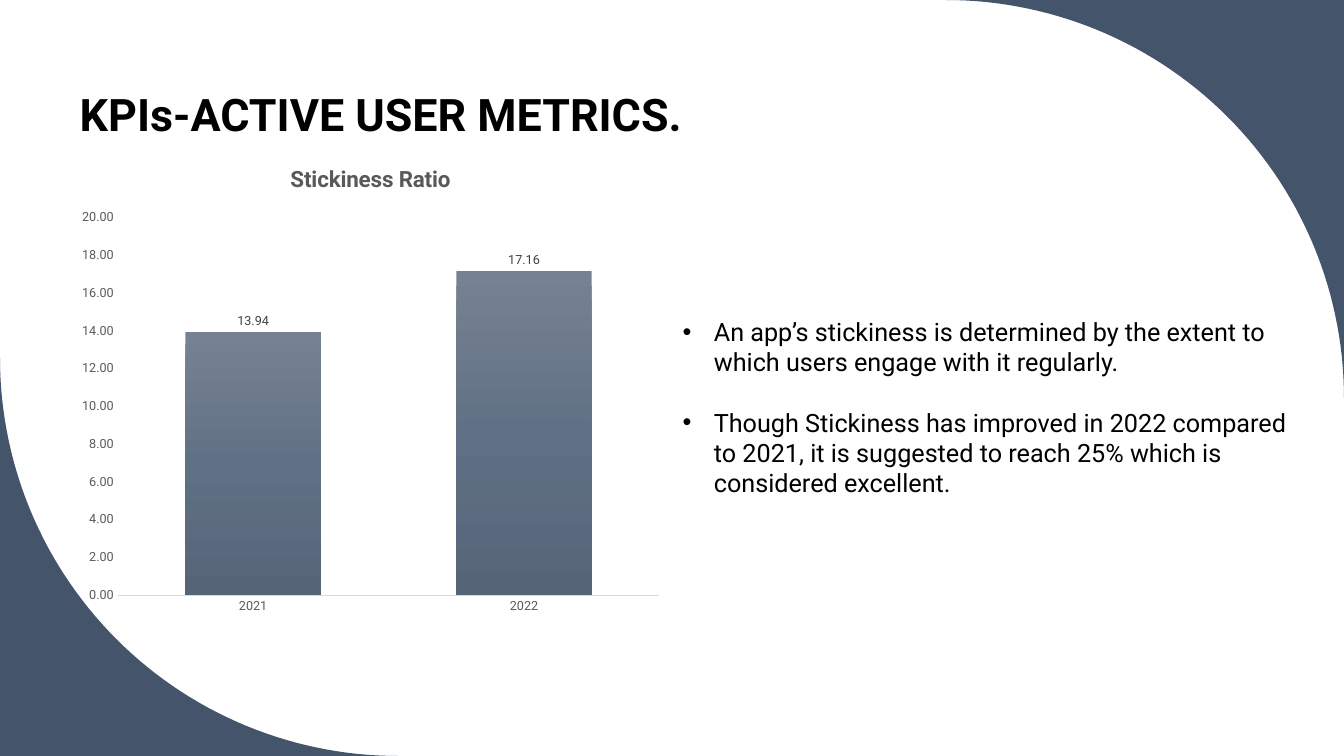
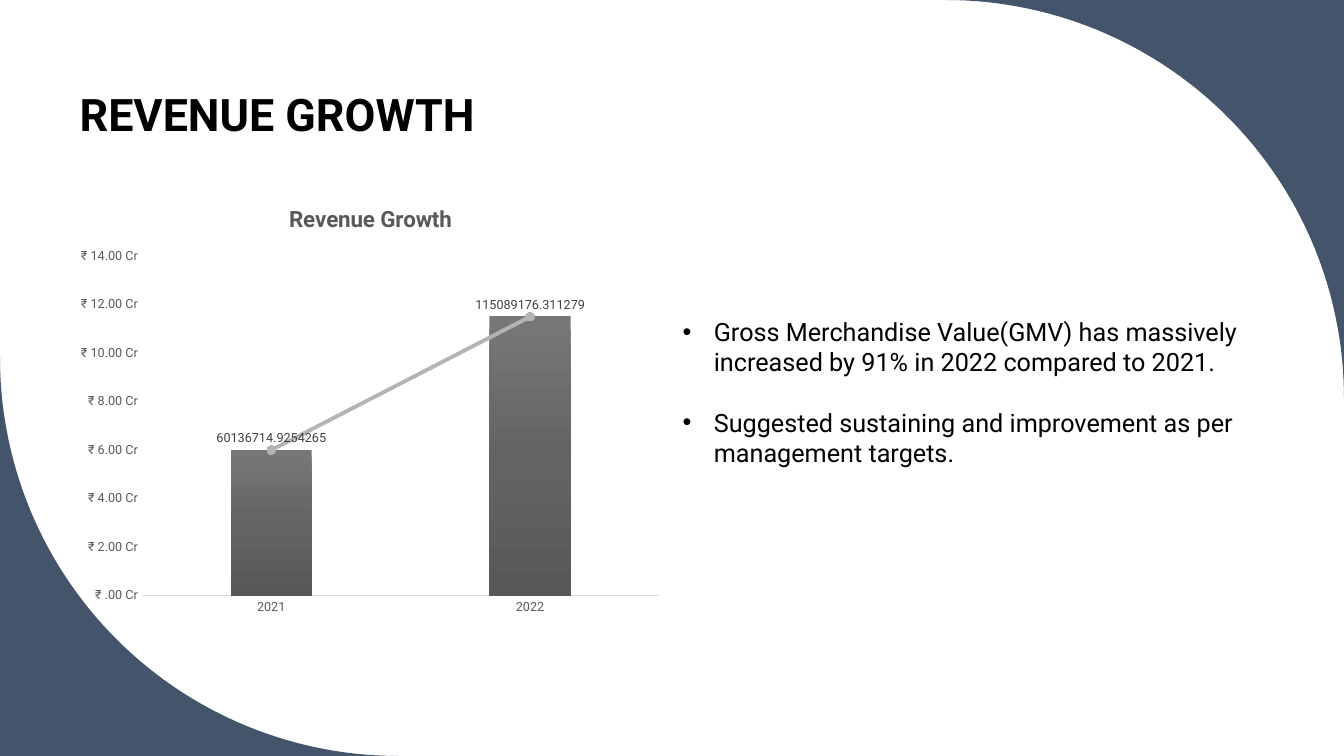
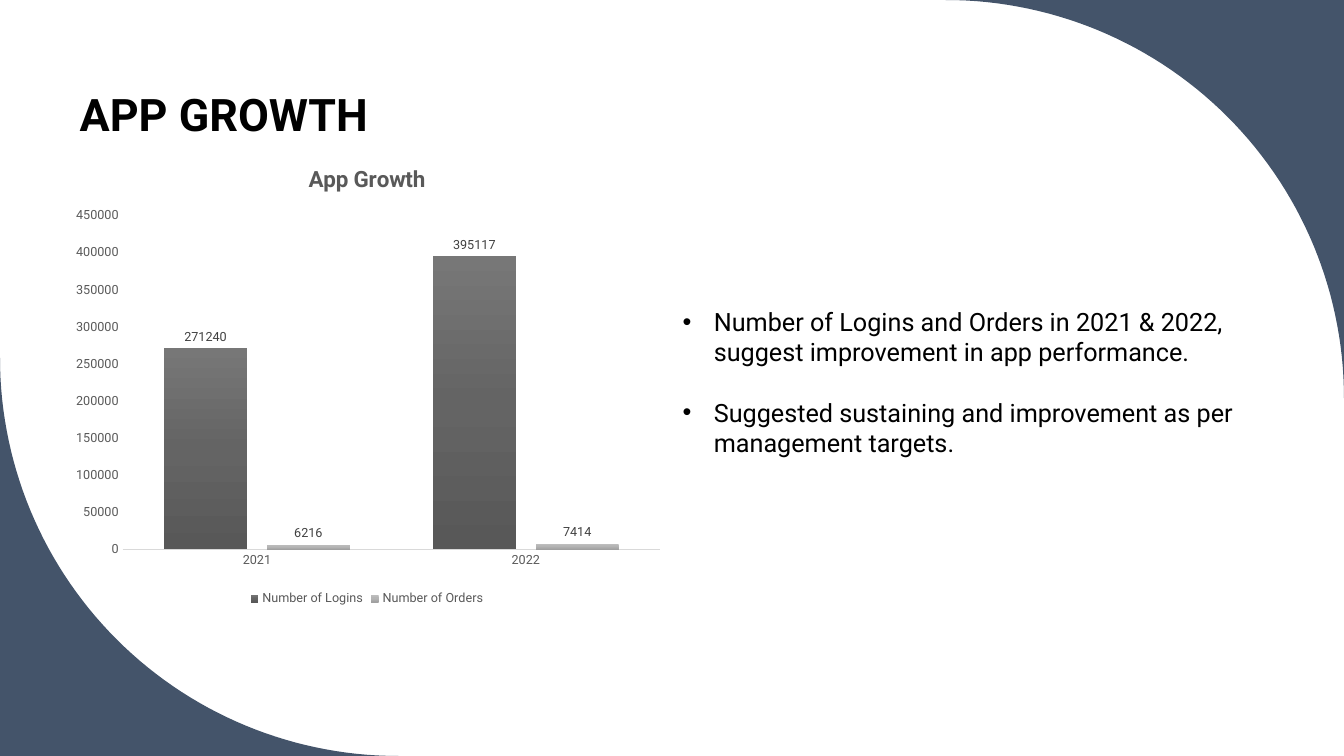
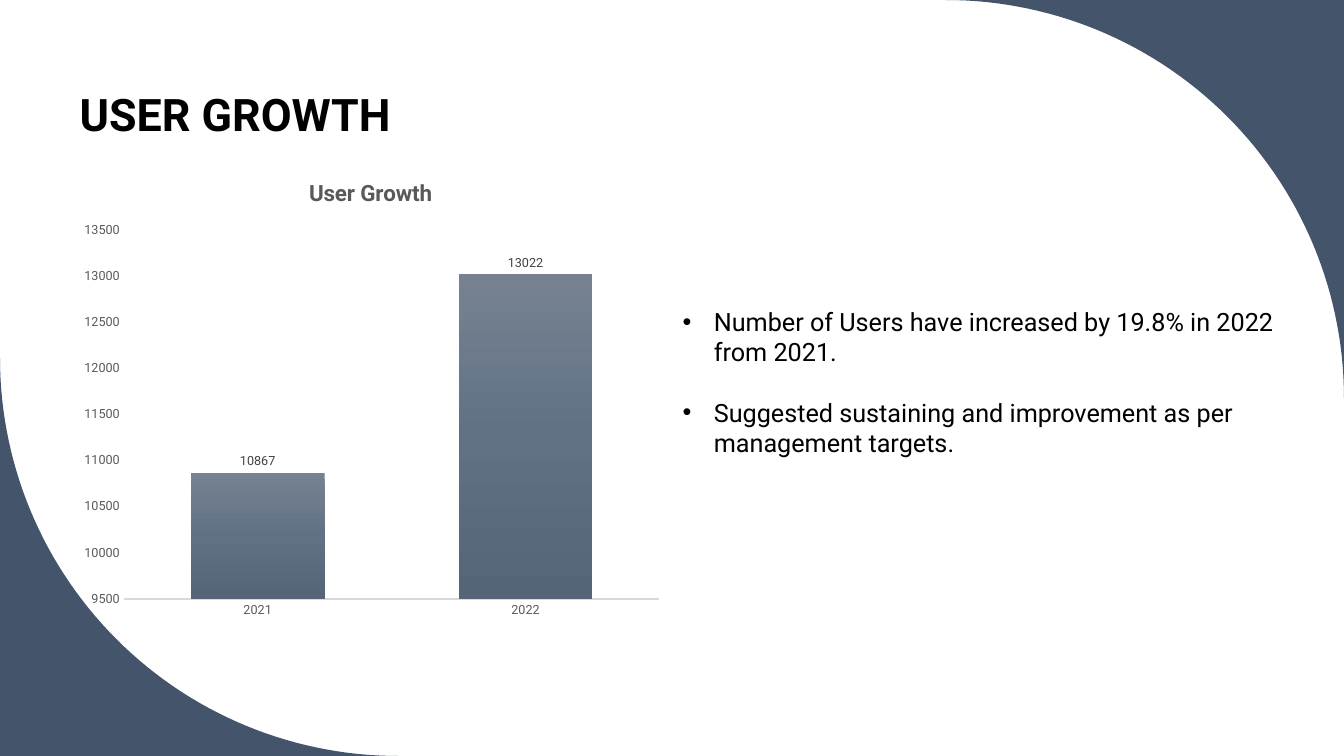
from copy import deepcopy
from math import cos, pi, sin

from pptx import Presentation
from pptx.chart.data import CategoryChartData
from pptx.dml.color import RGBColor
from pptx.enum.chart import (XL_CHART_TYPE, XL_LABEL_POSITION, XL_LEGEND_POSITION,
                             XL_MARKER_STYLE, XL_TICK_MARK)
from pptx.enum.text import MSO_ANCHOR, MSO_AUTO_SIZE, PP_ALIGN
from pptx.oxml import parse_xml
from pptx.oxml.ns import nsdecls, qn
from pptx.util import Inches, Pt

COLORS = {"corner": "44546A", "text": "000000", "muted": "595959", "label": "404040",
          "axis": "D9D9D9", "trend": "B4B4B4"}
GRADIENTS = {"slate": ["768291", "617185", "556477"],
             "dark": ["777777", "646464", "585858"],
             "light": ["BDBDBD", "B4B4B4", "A0A0A0"]}
FONT = "Roboto"
YEARS = ["2021", "2022"]
TARGETS = "Suggested sustaining and improvement as per management targets."

PAGES = [
    {"title": "KPIs-ACTIVE USER METRICS.",
     "bullets": ["An app’s stickiness is determined by the extent to which users engage with it regularly.",
                 "Though Stickiness has improved in 2022 compared to 2021, it is suggested to reach 25% "
                 "which is considered excellent."],
     "body": (3.09, 1.92), "chart_title": "Stickiness Ratio",
     "place": (0.69, 1.45, 5.97, 4.74), "plot": (0.08, 0.15, 0.9, 0.79),
     "scale": (0, 20, 2), "axis_format": "0.00", "label_format": "0.00",
     "gap": 100, "overlap": -24,
     "series": [("Series 1", [13.94, 17.16], "slate")]},
    {"title": "REVENUE GROWTH",
     "bullets": ["Gross Merchandise Value(GMV) has massively increased by 91% in 2022 compared to 2021.",
                 TARGETS],
     "body": (3.09, 1.62), "chart_title": "Revenue Growth",
     "place": (0.69, 1.85, 5.97, 4.32), "plot": (0.12, 0.16, 0.86, 0.78),
     "scale": (0, 140000000, 20000000), "axis_format": '"₹"\\ #\\.0,,"0 Cr"',
     "label_format": "General", "gap": 219, "overlap": 0,
     "series": [("Series 1", [60136714.9254265, 115089176.311279], "dark"),
                ("Series 2", [60000000, 115000000], "trend")]},
    {"title": "APP GROWTH",
     "bullets": ["Number of Logins and Orders in 2021 & 2022, suggest improvement in app performance.",
                 TARGETS],
     "body": (2.99, 1.62), "chart_title": "App Growth",
     "place": (0.61, 1.45, 6.06, 4.6), "plot": (0.1, 0.15, 0.88, 0.72),
     "scale": (0, 450000, 50000), "axis_format": "General", "label_format": "General",
     "gap": 100, "overlap": -24,
     "series": [("Number of Logins", [271240, 395117], "dark"),
                ("Number of Orders", [6216, 7414], "light")]},
    {"title": "USER GROWTH",
     "bullets": ["Number of Users have increased by 19.8% in 2022 from 2021.", TARGETS],
     "body": (2.99, 1.62), "chart_title": "User Growth",
     "place": (0.69, 1.59, 5.97, 4.63), "plot": (0.09, 0.15, 0.89, 0.79),
     "scale": (9500, 13500, 500), "axis_format": "General", "label_format": "General",
     "gap": 100, "overlap": -24,
     "series": [("Series 1", [10867, 13022], "slate")]},
]


def set_values(target, values):
    for name, value in values.items():
        setattr(target, name, value)


def style_font(font, color, size, bold=False):
    set_values(font, {"name": FONT, "size": Pt(size), "bold": bold})
    font.color.rgb = RGBColor.from_string(COLORS[color])


deck = Presentation()
set_values(deck, {"slide_width": Inches(13.33), "slide_height": Inches(7.5)})
layout = deck.slide_layouts[1]
set_values(layout.placeholders[0], {"left": Inches(0.69), "top": Inches(0),
                                    "width": Inches(10.69), "height": Inches(1.45)})
slides = [deck.slides.add_slide(layout) for page in PAGES]

radius = 3.95
steps = 60
corners = [((9.38, 3.95), 1, (13.33, 0)), ((3.95, 3.55), -1, (0, 7.5))]
for number, ((center_x, center_y), side, tip) in enumerate(corners):
    angles = [pi / 2 * step / steps for step in range(steps + 1)]
    curve = [(Inches(center_x + side * radius * cos(angle)),
              Inches(center_y - side * radius * sin(angle))) for angle in angles]
    builder = slides[0].shapes.build_freeform(Inches(tip[0]), Inches(tip[1]))
    builder.add_line_segments(curve, close=True)
    corner = builder.convert_to_shape()
    corner.name = f"Corner {number + 1}"
    corner.shadow.inherit = False
    corner.fill.solid()
    corner.fill.fore_color.rgb = RGBColor.from_string(COLORS["corner"])
    corner.line.fill.background()
    corner.element.nvSpPr.cNvPr.set("id", str(20 + number))
    layout.shapes.element.insert(2 + number, corner.element)

for slide, page in zip(slides, PAGES):
    title = slide.shapes.title
    title.text_frame.text = page["title"]
    set_values(title.text_frame, {"vertical_anchor": MSO_ANCHOR.BOTTOM, "word_wrap": True,
                                  "auto_size": MSO_AUTO_SIZE.NONE})
    para = title.text_frame.paragraphs[0]
    set_values(para, {"alignment": PP_ALIGN.LEFT, "line_spacing": 0.9})
    style_font(para.runs[0].font, "text", 32, True)

    body = slide.placeholders[1]
    top, height = page["body"]
    set_values(body, {"left": Inches(6.67), "top": Inches(top),
                      "width": Inches(6.43), "height": Inches(height)})
    body.text_frame.text = "\n".join(page["bullets"])
    set_values(body.text_frame, {"vertical_anchor": MSO_ANCHOR.TOP, "word_wrap": True,
                                 "auto_size": MSO_AUTO_SIZE.NONE})
    for position, para in enumerate(body.text_frame.paragraphs):
        set_values(para, {"space_before": Pt(21.5 * position), "line_spacing": 1.0})
        indent = para._p.get_or_add_pPr()
        indent.set("marL", str(Inches(0.31)))
        indent.set("indent", str(-Inches(0.31)))
        style_font(para.runs[0].font, "text", 18)

    data = CategoryChartData()
    data.categories = YEARS
    for name, values, fill_name in page["series"]:
        data.add_series(name, values)
    place = [Inches(length) for length in page["place"]]
    chart = slide.shapes.add_chart(XL_CHART_TYPE.COLUMN_CLUSTERED, *place, data).chart
    style_font(chart.font, "text", 10)

    chart.has_title = True
    chart.chart_title.include_in_layout = False
    para = chart.chart_title.text_frame.paragraphs[0]
    span = para.add_run()
    span.text = page["chart_title"]
    style_font(span.font, "muted", 16, True)

    low, high, unit = page["scale"]
    set_values(chart.value_axis, {"minimum_scale": low, "maximum_scale": high, "major_unit": unit})
    set_values(chart.value_axis.tick_labels, {"number_format": page["axis_format"],
                                              "number_format_is_linked": False})
    for axis in (chart.category_axis, chart.value_axis):
        set_values(axis, {"has_major_gridlines": False, "major_tick_mark": XL_TICK_MARK.NONE,
                          "minor_tick_mark": XL_TICK_MARK.NONE})
        style_font(axis.tick_labels.font, "muted", 9)
    chart.value_axis.format.line.fill.background()
    axis_line = chart.category_axis.format.line
    axis_line.width = Pt(1)
    axis_line.color.rgb = RGBColor.from_string(COLORS["axis"])

    chart.has_legend = page["title"] == "APP GROWTH"
    if chart.has_legend:
        set_values(chart.legend, {"position": XL_LEGEND_POSITION.BOTTOM, "include_in_layout": False})
        style_font(chart.legend.font, "muted", 9)

    columns = chart.plots[0]
    set_values(columns, {"gap_width": page["gap"], "overlap": page["overlap"],
                         "vary_by_categories": False})
    plot_area = chart.element.find(".//" + qn("c:plotArea"))
    for old_layout in plot_area.findall(qn("c:layout")):
        plot_area.remove(old_layout)
    sizes = "".join(f'<c:{key} val="{value}"/>' for key, value in zip("xywh", page["plot"]))
    plot_area.insert(0, parse_xml(
        f'<c:layout {nsdecls("c")}><c:manualLayout><c:layoutTarget val="inner"/>'
        f'<c:xMode val="edge"/><c:yMode val="edge"/>{sizes}</c:manualLayout></c:layout>'))

    for series, (name, values, fill_name) in zip(list(columns.series), page["series"]):
        if fill_name == "trend":
            bar_chart = plot_area.find(qn("c:barChart"))
            line_chart = parse_xml(
                f'<c:lineChart {nsdecls("c")}><c:grouping val="standard"/>'
                '<c:varyColors val="0"/></c:lineChart>')
            trend_element = series._element
            for bar_setting in trend_element.findall(qn("c:invertIfNegative")):
                trend_element.remove(bar_setting)
            line_chart.append(trend_element)
            line_chart.append(parse_xml(f'<c:marker {nsdecls("c")} val="1"/>'))
            for axis_id in bar_chart.findall(qn("c:axId")):
                line_chart.append(deepcopy(axis_id))
            bar_chart.addnext(line_chart)
            trend = chart.plots[1].series[0]
            trend.smooth = False
            trend_color = RGBColor.from_string(COLORS["trend"])
            trend.format.line.width = Pt(2.75)
            trend.format.line.color.rgb = trend_color
            set_values(trend.marker, {"style": XL_MARKER_STYLE.CIRCLE, "size": 6})
            trend.marker.format.fill.solid()
            trend.marker.format.fill.fore_color.rgb = trend_color
            trend.marker.format.line.color.rgb = trend_color
            continue
        series.invert_if_negative = False
        fill = series.format.fill
        fill.gradient()
        fill.gradient_angle = 270
        stops = series._element.find(".//" + qn("a:gsLst"))
        stops.insert(1, deepcopy(stops[0]))
        for stop, place_on_scale, color in zip(fill.gradient_stops, (0, 0.5, 1), GRADIENTS[fill_name]):
            stop.position = place_on_scale
            stop.color.rgb = RGBColor.from_string(color)
        labels = series.data_labels
        set_values(labels, {"show_value": True, "position": XL_LABEL_POSITION.OUTSIDE_END,
                            "number_format": page["label_format"], "number_format_is_linked": False})
        style_font(labels.font, "label", 9)

deck.save("out.pptx")
